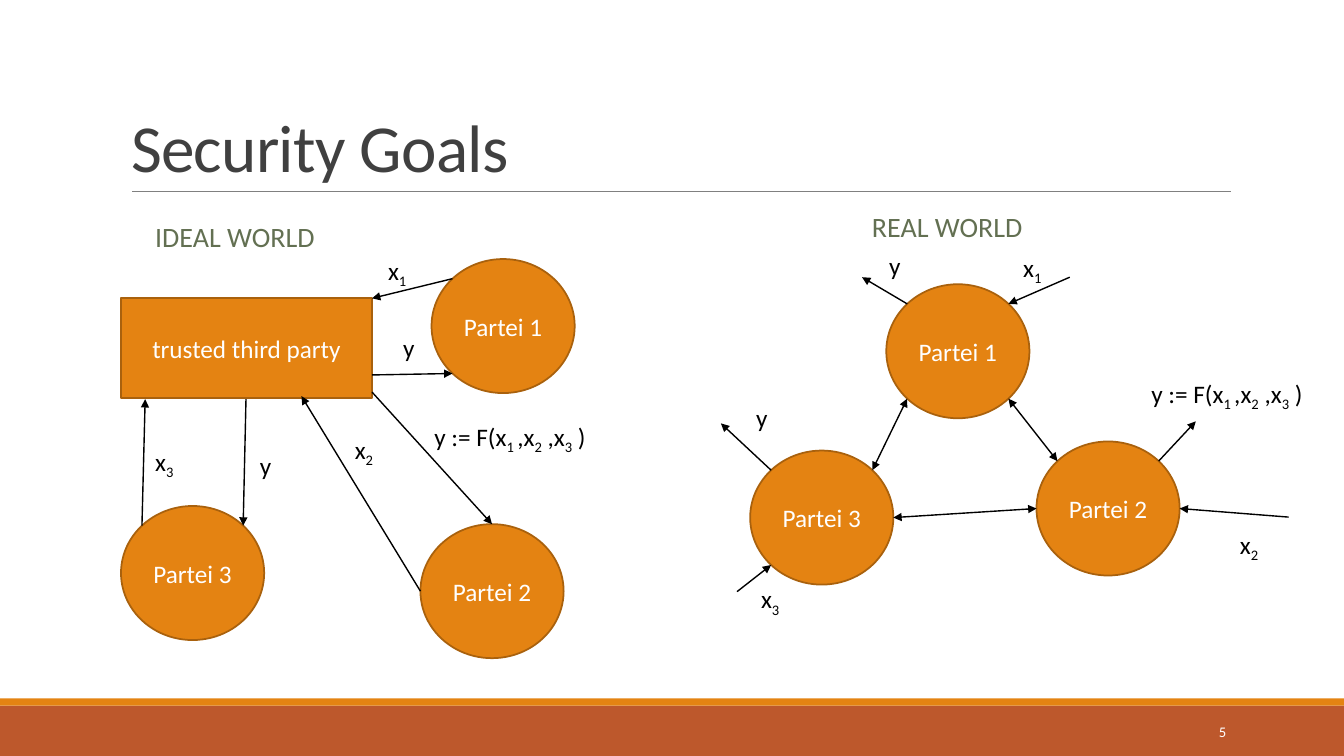
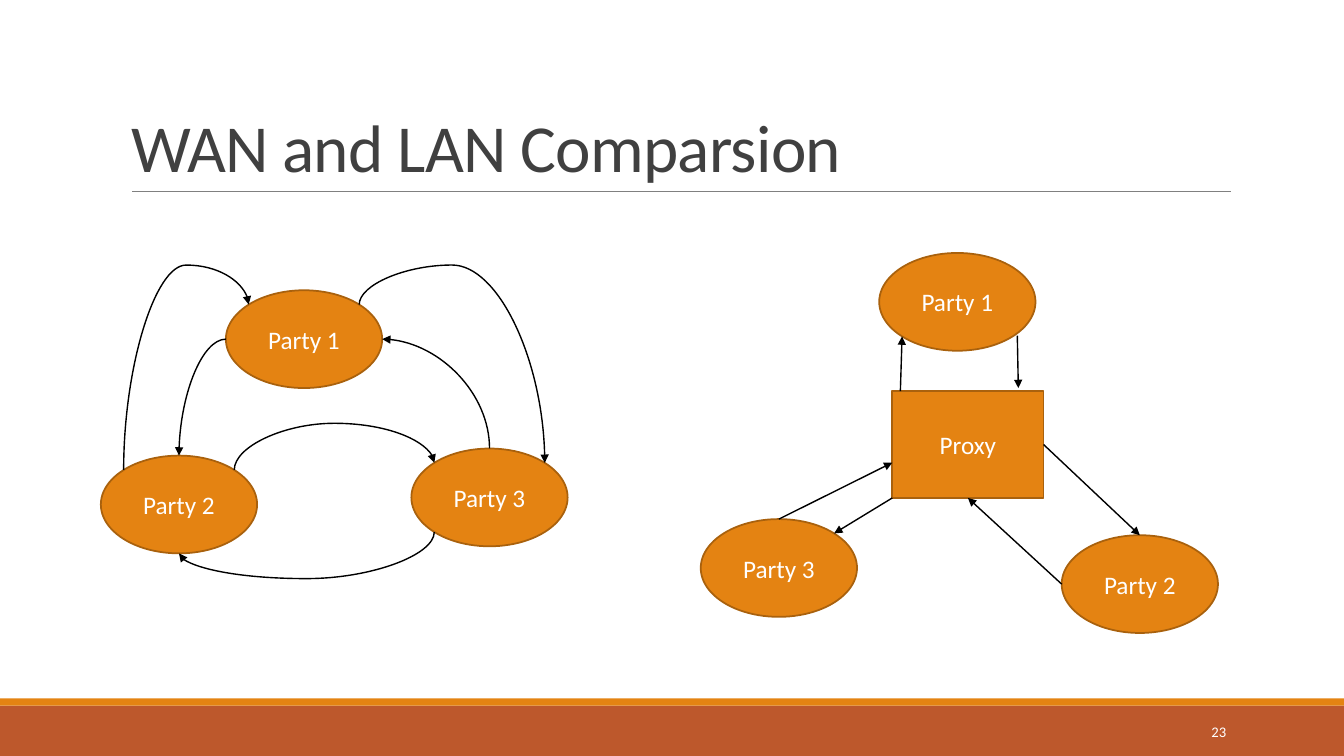
"""Build two slides that compare party communication diagrams."""
import math
from dataclasses import dataclass
from typing import Optional, Union

import pptx
import pptx.dml.color
import pptx.enum.shapes
import pptx.enum.text
import pptx.oxml
import pptx.oxml.ns
import pptx.util

Inches = pptx.util.Inches
Pt = pptx.util.Pt
qn = pptx.oxml.ns.qn
SHAPE = pptx.enum.shapes.MSO_SHAPE
LINK = pptx.enum.shapes.MSO_CONNECTOR
ALIGN = pptx.enum.text.PP_ALIGN
ANCHOR = pptx.enum.text.MSO_ANCHOR

FONT = "Calibri"
COLORS = {
    "band": "BD582C", "accent": "E48312", "outline": "A9610D", "rule": "808080",
    "title": "404040", "heading": "637052", "ink": "000000", "white": "FFFFFF",
}
Point = tuple[float, float]


@dataclass(frozen=True)
class Node:
    """A filled shape with compass connection sites."""
    text: str
    x: float
    y: float
    w: float
    h: float
    round: bool = True

    def site(self, name: str) -> Point:
        """Return the point on the outline in a compass direction."""
        reach = math.sqrt(0.5) if self.round and len(name) == 2 else 1
        dx = ("e" in name) - ("w" in name)
        dy = ("s" in name) - ("n" in name)
        return (self.x + self.w / 2 * (1 + reach * dx),
                self.y + self.h / 2 * (1 + reach * dy))


@dataclass(frozen=True)
class Arrow:
    """A straight arrow, pointed at the end or at both ends."""
    start: Point
    end: Point
    both: bool = False


@dataclass(frozen=True)
class Curve:
    """A curved arrow: a quarter bend, or a bow that reaches the height rail."""
    start: Point
    end: Point
    rail: Optional[float] = None
    upright: bool = True


@dataclass(frozen=True)
class Label:
    """A text in which every second part between bars is a subscript."""
    text: str
    x: float
    y: float
    w: float = 0.88


Item = Union[Node, Arrow, Curve, Label]


def rgb(name: str) -> pptx.dml.color.RGBColor:
    """Return a named colour."""
    return pptx.dml.color.RGBColor.from_string(COLORS[name])


def style(p, size: float, color: str, align=ALIGN.LEFT) -> None:
    """Format a paragraph and its runs."""
    p.alignment = align
    for r in p.runs:
        r.font.name = FONT
        r.font.size = Pt(size)
        r.font.color.rgb = rgb(color)


def add_box(s, kind, x: float, y: float, w: float, h: float, fill: str,
            line: Optional[str] = None):
    """Add a filled preset shape."""
    sp = s.shapes.add_shape(kind, Inches(x), Inches(y), Inches(w), Inches(h))
    sp.shadow.inherit = False
    sp.fill.solid()
    sp.fill.fore_color.rgb = rgb(fill)
    if line:
        sp.line.color.rgb = rgb(line)
        sp.line.width = Pt(1.25)
    else:
        sp.line.fill.background()
    return sp


def add_text(s, text: str, x: float, y: float, w: float, h: float,
             anchor=ANCHOR.TOP):
    """Add a wrapping text box and return its first paragraph."""
    tf = s.shapes.add_textbox(Inches(x), Inches(y), Inches(w), Inches(h)).text_frame
    tf.word_wrap = True
    tf.vertical_anchor = anchor
    tf.text = text
    return tf.paragraphs[0]


def add_line(s, kind, start: Point, end: Point, color: str = "ink",
             width: float = 1, heads: tuple[str, ...] = ()):
    """Add a connector with the given arrowheads."""
    cx = s.shapes.add_connector(kind, *(Inches(v) for v in (*start, *end)))
    cx.line.color.rgb = rgb(color)
    cx.line.width = Pt(width)
    ln = cx.line._get_or_add_ln()
    for head in heads:
        ln.append(pptx.oxml.parse_xml(
            f'<a:{head} {pptx.oxml.ns.nsdecls("a")} type="triangle"/>'))
    cx.element.spPr.append(pptx.oxml.parse_xml(
        f'<a:effectLst {pptx.oxml.ns.nsdecls("a")}/>'))
    return cx


def draw_curve(s, curve: Curve) -> None:
    """Draw a curved arrow by turning and flipping its frame."""
    (x1, y1), (x2, y2) = curve.start, curve.end
    dx, dy = x2 - x1, y2 - y1
    if curve.upright:
        w, h = abs(dy), abs(dx)
        turn = 90 if dx * dy < 0 else 270
        flip_h = (dy < 0) == (turn == 90)
        flip_v = (dx > 0) == (turn == 90)
    else:
        w, h = abs(dx), abs(dy)
        turn = 180 if dx < 0 else 0
        flip_h = False
        flip_v = (dx < 0) == (dy > 0)
    left, top = (x1 + x2 - w) / 2, (y1 + y2 - h) / 2
    cx = add_line(s, LINK.CURVE, (left, top), (left + w, top + h), heads=("tailEnd",))
    xfrm = cx.element.spPr.find(qn("a:xfrm"))
    xfrm.set("rot", str(turn * 60000))
    xfrm.set("flipH", str(int(flip_h)))
    xfrm.set("flipV", str(int(flip_v)))
    geom = cx.element.spPr.find(qn("a:prstGeom"))
    if curve.rail is None:
        geom.set("prst", "curvedConnector2")
    else:
        bend = round((curve.rail - y1) / dy * 100000)
        geom.find(qn("a:avLst")).append(pptx.oxml.parse_xml(
            f'<a:gd {pptx.oxml.ns.nsdecls("a")} name="adj1" fmla="val {bend}"/>'))


def draw_node(s, node: Node) -> None:
    """Draw a party or a hub."""
    kind = SHAPE.OVAL if node.round else SHAPE.RECTANGLE
    sp = add_box(s, kind, node.x, node.y, node.w, node.h, "accent", "outline")
    tf = sp.text_frame
    tf.text = node.text
    tf.vertical_anchor = ANCHOR.MIDDLE
    style(tf.paragraphs[0], 18, "white", ALIGN.CENTER)


def draw_label(s, label: Label) -> None:
    """Draw a label with subscripts."""
    first, *rest = label.text.split("|")
    p = add_text(s, first, label.x, label.y, label.w, 0.4)
    for part in rest:
        p.add_run().text = part
    style(p, 18, "ink")
    for r in p.runs[1::2]:
        r.font._element.set("baseline", "-25000")


def draw(s, items: list[Item]) -> None:
    """Draw the items from back to front."""
    for item in items:
        if isinstance(item, Node):
            draw_node(s, item)
        elif isinstance(item, Curve):
            draw_curve(s, item)
        elif isinstance(item, Label):
            draw_label(s, item)
        else:
            heads = ("headEnd", "tailEnd") if item.both else ("tailEnd",)
            add_line(s, LINK.STRAIGHT, item.start, item.end, heads=heads)


def add_heading(s, text: str, x: float, y: float) -> None:
    """Add the heading of one half of a slide."""
    p = add_text(s, text, x, y, 4.6, 0.9, ANCHOR.MIDDLE)
    p.line_spacing = 0.9
    p.space_before = Pt(12)
    p.space_after = Pt(2)
    style(p, 20, "heading")


def add_slide(prs, title: str, number: int):
    """Add a slide with bands, title, rule and number."""
    s = prs.slides.add_slide(prs.slide_layouts[5])
    add_box(s, SHAPE.RECTANGLE, 0, 7, 13.33, 0.5, "band")
    add_box(s, SHAPE.RECTANGLE, 0, 6.93, 13.33, 0.07, "accent")
    add_line(s, LINK.STRAIGHT, (1.31, 1.9), (12.21, 1.9), "rule", 0.5)
    sp = s.shapes.title
    sp.left, sp.top, sp.width, sp.height = (Inches(v) for v in (1.2, 0.31, 11, 1.59))
    tf = sp.text_frame
    tf.text = title
    tf.auto_size = pptx.enum.text.MSO_AUTO_SIZE.NONE
    tf.vertical_anchor = ANCHOR.BOTTOM
    p = tf.paragraphs[0]
    p.line_spacing = 0.85
    style(p, 48, "title")
    p.runs[0].font._element.set("spc", "-50")
    p = add_text(s, str(number), 10.83, 7.06, 1.43, 0.4, ANCHOR.MIDDLE)
    style(p, 10.5, "white", ALIGN.RIGHT)
    return s


def partei(number: int, x: float, y: float) -> Node:
    """Return a party of the security slide."""
    return Node(f"Partei {number}", x, y, 1.42, 1.33)


def party(number: int, x: float, y: float) -> Node:
    """Return a party of the network slide."""
    return Node(f"Party {number}", x, y, 1.55, 0.97)


def build_security(prs) -> None:
    """Build the slide on the ideal and the real world."""
    s = add_slide(prs, "Security Goals", 5)
    formula = "y := F(x|1 |,x|2| ,x|3| )"
    add_heading(s, "IDEAL WORLD", 1.44, 1.92)
    add_heading(s, "REAL WORLD", 8.55, 1.82)
    trusted = Node("trusted third party", 1.2, 2.96, 2.49, 0.99, round=False)
    p1, p2, p3 = partei(1, 4.28, 2.57), partei(2, 4.17, 5.2), partei(3, 1.2, 5.02)
    draw(s, [
        trusted, p1, p2, p3,
        Arrow(p1.site("nw"), trusted.site("ne")),
        Arrow((3.69, 3.72), p1.site("sw")),
        Arrow(p3.site("nw"), (1.44, 3.96)),
        Arrow((2.44, 3.96), p3.site("ne")),
        Arrow((3.69, 3.89), p2.site("n")),
        Arrow(p2.site("w"), (2.99, 3.93)),
        Label("x|1", 3.75, 2.48), Label("x|2", 3.42, 4.26), Label("x|3", 1.44, 4.38),
        Label(formula, 4.21, 4.13, 1.75),
        Label("y", 2.48, 4.42), Label("y", 3.9, 3.25),
    ])
    p1, p2, p3 = partei(1, 8.79, 2.82), partei(2, 10.28, 4.38), partei(3, 7.44, 4.47)
    draw(s, [
        p1, p2, p3,
        Arrow(p3.site("ne"), p1.site("sw"), both=True),
        Arrow(p3.site("e"), p2.site("w"), both=True),
        Arrow(p2.site("nw"), p1.site("se"), both=True),
        Arrow((10.61, 2.75), p1.site("ne")),
        Arrow(p1.site("nw"), (8.55, 2.75)),
        Arrow((12.78, 5.13), p2.site("e")),
        Arrow(p2.site("ne"), (11.86, 4.18)),
        Arrow((7.31, 5.87), p3.site("sw")),
        Arrow(p3.site("nw"), (7.15, 4.2)),
        Label("x|1", 10.05, 2.45), Label("y", 8.72, 2.43),
        Label(formula, 11.32, 3.7, 1.75),
        Label("y", 7.4, 3.94), Label("x|2", 12.2, 5.2), Label("x|3", 7.45, 5.74),
    ])


def build_networks(prs) -> None:
    """Build the slide on direct and proxied parties."""
    s = add_slide(prs, "WAN and LAN Comparsion", 23)
    p1, p2, p3 = party(1, 2.24, 2.88), party(2, 1, 4.52), party(3, 4.08, 4.45)
    draw(s, [
        p1, p2, p3,
        Curve(p2.site("nw"), p1.site("nw"), rail=2.63),
        Curve(p1.site("w"), p2.site("n"), upright=False),
        Curve(p1.site("ne"), p3.site("ne"), rail=2.63),
        Curve(p3.site("n"), p1.site("e")),
        Curve(p3.site("sw"), p2.site("s"), rail=5.74),
        Curve(p2.site("ne"), p3.site("nw"), rail=4.2),
    ])
    proxy = Node("Proxy", 8.85, 3.88, 1.5, 1.06, round=False)
    p1, p2, p3 = party(1, 8.72, 2.51), party(2, 10.53, 5.31), party(3, 6.95, 5.15)
    draw(s, [
        proxy, p1, p3, p2,
        Arrow(p3.site("n"), (8.85, 4.59)),
        Arrow(proxy.site("sw"), p3.site("ne")),
        Arrow((10.09, 3.33), (10.1, 3.85)),
        Arrow((8.93, 3.88), p1.site("sw")),
        Arrow(proxy.site("e"), p2.site("n")),
        Arrow(p2.site("w"), proxy.site("s")),
    ])


prs = pptx.Presentation()
prs.slide_width, prs.slide_height = Inches(13.33), Inches(7.5)
build_security(prs)
build_networks(prs)
prs.save("out.pptx")
